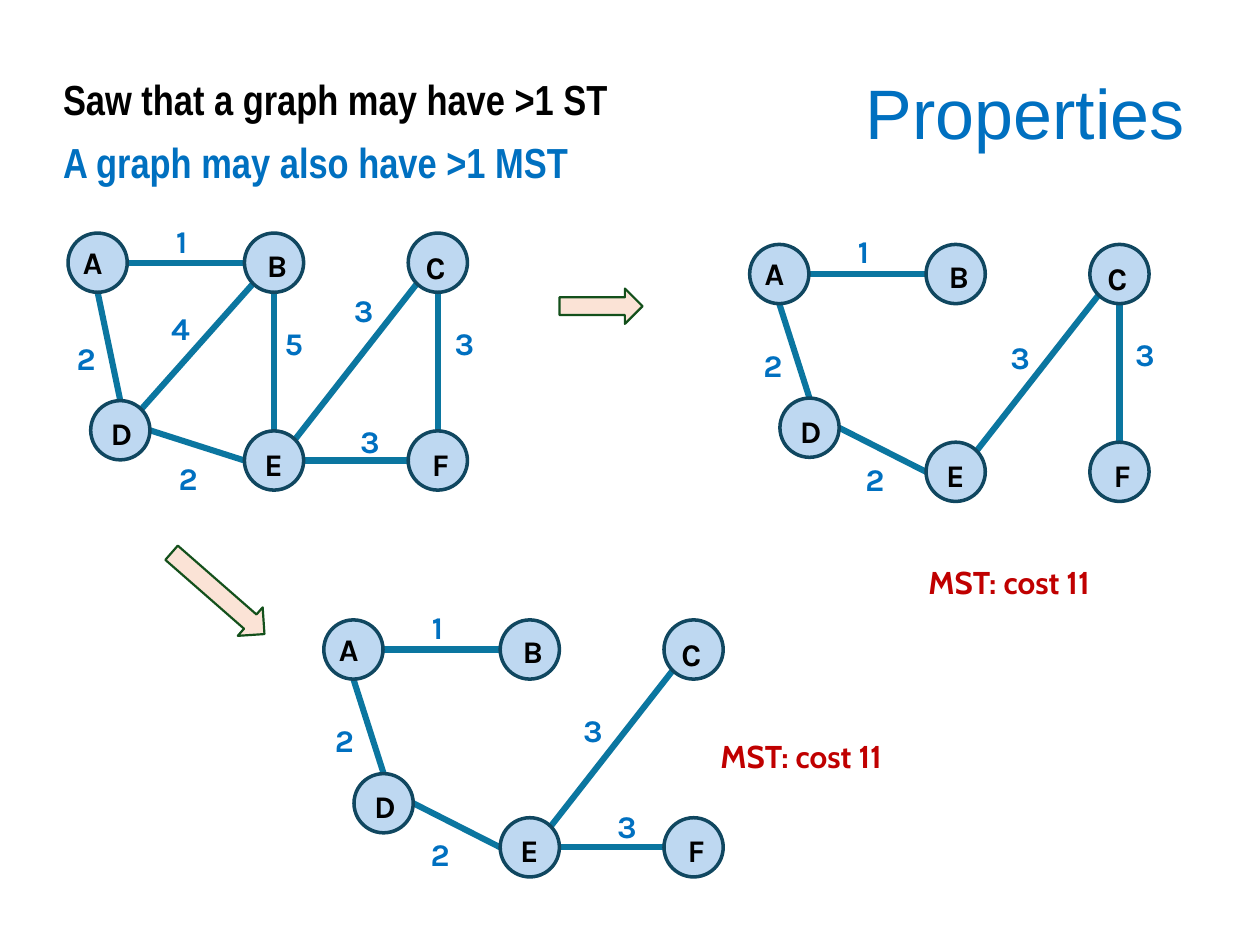
from lxml.etree import SubElement
from pptx import Presentation
from pptx.dml.color import RGBColor
from pptx.enum.shapes import MSO_CONNECTOR, MSO_SHAPE
from pptx.enum.text import MSO_ANCHOR, MSO_AUTO_SIZE, PP_ALIGN
from pptx.oxml.ns import qn
from pptx.util import Inches, Pt

BLACK = RGBColor(0x00, 0x00, 0x00)
BLUE = RGBColor(0x00, 0x70, 0xC0)
RED = RGBColor(0xC0, 0x00, 0x00)
NODE_FILL = RGBColor(0x71, 0xAA, 0xE0)
NODE_LINE = RGBColor(0x10, 0x47, 0x60)
EDGE = RGBColor(0x0B, 0x76, 0xA0)
ARROW_FILL = RGBColor(0xFB, 0xE3, 0xD6)
ARROW_LINE = RGBColor(0x13, 0x50, 0x1B)

prs = Presentation()
prs.slide_width, prs.slide_height = Inches(10), Inches(7.5)
COL, ROW = prs.slide_width / 100, prs.slide_height / 75
s = prs.slides.add_slide(prs.slide_layouts[6])


def box(x, y, w, h):
    return round(x * COL), round(y * ROW), round(w * COL), round(h * ROW)


def text(shapes, lines, x, y, w, h=4, size=18, font="Karla", bold=True, color=BLUE,
         align=PP_ALIGN.LEFT, anchor=MSO_ANCHOR.TOP, spacing=1.0, before=0, after=0,
         indent=0, fit=MSO_AUTO_SIZE.SHAPE_TO_FIT_TEXT):
    tf = shapes.add_textbox(*box(x, y, w, h)).text_frame
    tf.word_wrap, tf.auto_size, tf.vertical_anchor = True, fit, anchor
    tf.margin_left = round((1 + indent) * COL)
    for i, (line, line_color) in enumerate(lines if isinstance(lines, list) else [(lines, color)]):
        p = tf.add_paragraph() if i else tf.paragraphs[0]
        p.alignment, p.line_spacing = align, spacing
        p.space_before, p.space_after = Pt(before), Pt(after)
        r = p.add_run()
        r.text = line
        r.font.name, r.font.size, r.font.bold = font, Pt(size), bold
        r.font.color.rgb = line_color


text(s.shapes, "Properties", 63.9, 3, 31.1, 12.5, size=40, font="Arial", bold=False,
     align=PP_ALIGN.RIGHT, anchor=MSO_ANCHOR.MIDDLE, spacing=0.9, fit=MSO_AUTO_SIZE.NONE)
text(s.shapes, [("Saw that a graph may have >1 ST", BLACK), ("A graph may also have >1 MST", BLUE)],
     2.8, 5.8, 58.9, 61.5, size=24, font="Arial Narrow", spacing=0.9, before=10, indent=1.2,
     fit=MSO_AUTO_SIZE.NONE)

SIZE = 4.7
SITES = {"top": (0.5, 0), "bottom": (0.5, 1), "left": (0, 0.5), "right": (1, 0.5),
         "lower left": (0.15, 0.85), "upper right": (0.85, 0.15)}
NODES = {"A": (0, 0), "B": (14, 0), "C": (27, 0), "D": (2.4, 12.2), "E": (14, 15.7), "F": (27, 15.7)}
LABELS = {"A": (0.2, 0.3, 4.2), "B": (0.8, 0.5, 2.8), "C": (0.4, 0.7, 4.4),
          "D": (0.6, 0.6, 2.8), "E": (0.6, 0.6, 2.8), "F": (0.9, 0.6, 2.8)}
EDGES = {"AB": (1, "right", "left"), "AD": (2, "bottom", "top"), "DE": (2, "right", "left"),
         "BD": (4, "lower left", "upper right"), "BE": (5, "bottom", "top"),
         "CE": (3, "lower left", "upper right"), "CF": (3, "bottom", "top"),
         "EF": (3, "right", "left")}
GRAPHS = [
    ((5.4, 18.5), {"D": (1.8, 13.3)},
     {"AB": (7.6, -1.4), "AD": (-0.3, 7.9), "DE": (7.8, 17.4), "BD": (7.2, 5.5),
      "BE": (16.2, 6.7), "CE": (21.7, 4.1), "CF": (29.7, 6.7), "EF": (22.2, 14.5)}),
    ((59.5, 19.4), {},
     {"AB": (7.6, -1.5), "AD": (0.1, 7.6), "DE": (8.2, 16.6), "CE": (19.7, 6.9), "CF": (29.6, 6.7)}),
    ((25.7, 49.2), {},
     {"AB": (7.6, -1.4), "AD": (-0.1, 7.5), "DE": (7.5, 16.6), "CE": (19.6, 6.7), "EF": (22.3, 14.4)}),
]

for (left, top), moved, weights in GRAPHS:
    shapes = s.shapes.add_group_shape().shapes
    nodes = {n: (left + x, top + y) for n, (x, y) in (NODES | moved).items()}
    for edge, (wx, wy) in weights.items():
        weight, *sites = EDGES[edge]
        ends = []
        for n, site in zip(edge, sites):
            (x, y), (fx, fy) = nodes[n], SITES[site]
            ends += [round((x + fx * SIZE) * COL), round((y + fy * SIZE) * ROW)]
        line = shapes.add_connector(MSO_CONNECTOR.STRAIGHT, *ends)
        line.line.color.rgb, line.line.width = EDGE, Pt(3.5)
        SubElement(line.element.spPr, qn("a:effectLst"))
        text(shapes, str(weight), left + wx, top + wy, 4.1, after=6)
    for n, (x, y) in nodes.items():
        sp = shapes.add_shape(MSO_SHAPE.OVAL, *box(x, y, SIZE, SIZE))
        sp.shadow.inherit = False
        sp.fill.solid()
        sp.fill.fore_color.rgb = NODE_FILL
        SubElement(sp.element.spPr.find(".//" + qn("a:srgbClr")), qn("a:alpha"), val="45000")
        sp.line.color.rgb, sp.line.width = NODE_LINE, Pt(2)
        dx, dy, w = LABELS[n]
        text(shapes, n, x + dx, y + dy, w, color=BLACK, after=6)

for x, y, w, h, angle in [(44.4, 22.9, 6.6, 2.8, 0), (12.4, 45.6, 9.8, 3, 41.2)]:
    sp = s.shapes.add_shape(MSO_SHAPE.RIGHT_ARROW, *box(x, y, w, h))
    sp.rotation = angle
    sp.shadow.inherit = False
    sp.fill.solid()
    sp.fill.fore_color.rgb = ARROW_FILL
    sp.line.color.rgb, sp.line.width = ARROW_LINE, Pt(1.25)

for x, y in [(72.7, 44.2), (56.2, 58)]:
    text(s.shapes, "MST: cost 11", x, y, 20.3, font="Cabin", color=RED)

prs.save("out.pptx")
